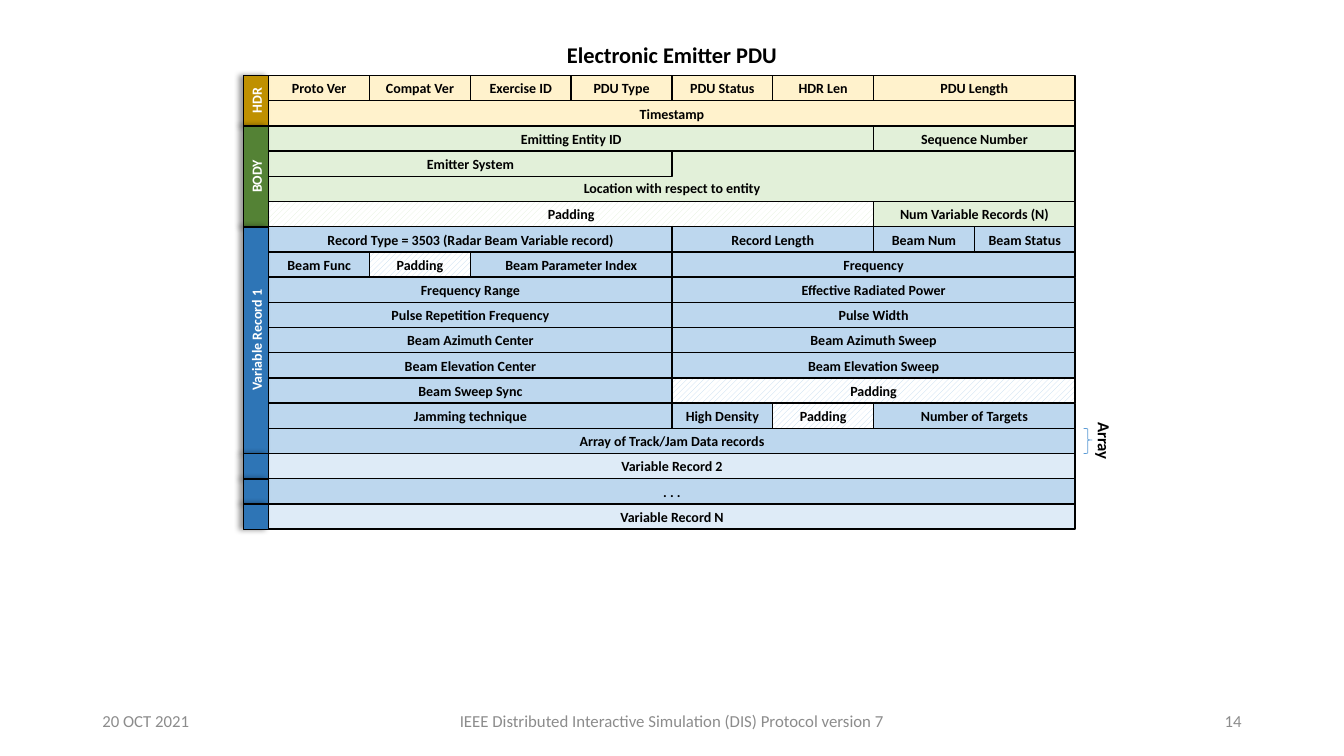
from dataclasses import dataclass

from lxml.etree import SubElement
from pptx import Presentation
from pptx.dml.color import RGBColor
from pptx.enum.dml import MSO_PATTERN
from pptx.enum.shapes import MSO_SHAPE
from pptx.enum.text import MSO_ANCHOR, MSO_AUTO_SIZE, PP_ALIGN
from pptx.oxml.ns import qn
from pptx.util import Pt


@dataclass(frozen=True)
class Theme:
    font: str = "Calibri"
    title_size: int = 16
    label_size: int = 12
    field_size: int = 10
    black: str = "000000"
    white: str = "FFFFFF"
    footer: str = "8C8C8C"
    brace: str = "5B9BD5"
    header: str = "FFF2CC"
    body: str = "E2F0D9"
    record: str = "BDD7EE"
    other_record: str = "DEEBF7"
    header_tab: str = "BF9000"
    body_tab: str = "548235"
    record_tab: str = "2E75B6"


@dataclass(frozen=True)
class Box:
    left: float
    top: float
    width: float
    height: float

    def lengths(self):
        return Pt(self.left), Pt(self.top), Pt(self.width), Pt(self.height)


THEME = Theme()
COLUMNS = 8
ROW_HEIGHT = 18

ROWS = [
    (THEME.header, [("Proto Ver", 1), ("Compat Ver", 1), ("Exercise ID", 1), ("PDU Type", 1),
                    ("PDU Status", 1), ("HDR Len", 1), ("PDU Length", 2)]),
    (THEME.header, [("Timestamp", 8)]),
    (THEME.body, [("Emitting Entity ID", 6), ("Sequence Number", 2)]),
    (THEME.body, [("Emitter System", 4)]),
    (THEME.body, []),
    (THEME.body, [("Padding", 6), ("Num Variable Records (N)", 2)]),
    (THEME.record, [("Record Type = 3503 (Radar Beam Variable record)", 4),
                    ("Record Length", 2), ("Beam Num", 1), ("Beam Status", 1)]),
    (THEME.record, [("Beam Func", 1), ("Padding", 1), ("Beam Parameter Index", 2), ("Frequency", 4)]),
    (THEME.record, [("Frequency Range", 4), ("Effective Radiated Power", 4)]),
    (THEME.record, [("Pulse Repetition Frequency", 4), ("Pulse Width", 4)]),
    (THEME.record, [("Beam Azimuth Center", 4), ("Beam Azimuth Sweep", 4)]),
    (THEME.record, [("Beam Elevation Center", 4), ("Beam Elevation Sweep", 4)]),
    (THEME.record, [("Beam Sweep Sync", 4), ("Padding", 4)]),
    (THEME.record, [("Jamming technique", 4), ("High Density", 1), ("Padding", 1),
                    ("Number of Targets", 2)]),
    (THEME.record, [("Array of Track/Jam Data records", 8)]),
    (THEME.other_record, [("Variable Record 2", 8)]),
    (THEME.record, [(". . .", 8)]),
    (THEME.other_record, [("Variable Record N", 8)]),
]
LOCATION_ROW = 3
ARRAY_ROW = 14

TABS = [
    ("HDR", 2, THEME.header_tab),
    ("BODY", 4, THEME.body_tab),
    ("Variable Record 1", 9, THEME.record_tab),
    ("", 1, THEME.record_tab),
    ("", 1, THEME.record_tab),
    ("", 1, THEME.record_tab),
]


def rgb(value):
    return RGBColor.from_string(value)


def write(shape, text, size, color, bold=True, align=PP_ALIGN.CENTER,
          anchor=MSO_ANCHOR.MIDDLE, side_inset=0, bottom_inset=0):
    frame = shape.text_frame
    frame.word_wrap = True
    frame.auto_size = MSO_AUTO_SIZE.NONE
    frame.vertical_anchor = anchor
    frame.margin_left = frame.margin_right = Pt(side_inset)
    frame.margin_top = 0
    frame.margin_bottom = Pt(bottom_inset)
    paragraph = frame.paragraphs[0]
    paragraph.alignment = align
    run = paragraph.add_run()
    run.text = text
    run.font.name = THEME.font
    run.font.size = Pt(size)
    run.font.bold = bold
    run.font.color.rgb = rgb(color)


def add_rectangle(slide, box, color, patterned=False):
    shape = slide.shapes.add_shape(MSO_SHAPE.RECTANGLE, *box.lengths())
    shape.shadow.inherit = False
    if patterned:
        shape.fill.patterned()
        shape.fill.pattern = MSO_PATTERN.WIDE_UPWARD_DIAGONAL
        shape.fill.fore_color.rgb = rgb(color)
        shape.fill.back_color.rgb = rgb(THEME.white)
    else:
        shape.fill.solid()
        shape.fill.fore_color.rgb = rgb(color)
    shape.line.color.rgb = rgb(THEME.black)
    shape.line.width = Pt(1)
    return shape


def add_left_shadow(shape):
    effects = shape._element.spPr.find(qn("a:effectLst"))
    shadow = SubElement(effects, qn("a:outerShdw"), blurRad=str(Pt(4)), dist=str(Pt(3)),
                        dir="10800000", algn="r", rotWithShape="0")
    color = SubElement(shadow, qn("a:srgbClr"), val=THEME.black)
    SubElement(color, qn("a:alpha"), val="40000")


def add_title(slide, box):
    title = slide.shapes.title
    title.left, title.top, title.width, title.height = box.lengths()
    write(title, "Electronic Emitter PDU", THEME.title_size, THEME.black)


def add_fields(slide, box):
    unit = box.width / COLUMNS
    location_box = Box(box.left, box.top + LOCATION_ROW * ROW_HEIGHT, box.width, 2 * ROW_HEIGHT)
    location = add_rectangle(slide, location_box, THEME.body)
    write(location, "Location with respect to entity", THEME.field_size, THEME.black,
          anchor=MSO_ANCHOR.BOTTOM, bottom_inset=3.6)
    for row, (color, fields) in enumerate(ROWS):
        column = 0
        for label, span in fields:
            field_box = Box(box.left + column * unit, box.top + row * ROW_HEIGHT,
                            span * unit, ROW_HEIGHT)
            field = add_rectangle(slide, field_box, color, patterned=label == "Padding")
            write(field, label, THEME.field_size, THEME.black)
            column += span


def add_tabs(slide, box):
    top = box.top
    for label, rows, color in TABS:
        length = rows * ROW_HEIGHT
        tab_box = Box(box.left + (box.width - length) / 2, top + (length - box.width) / 2,
                      length, box.width)
        tab = add_rectangle(slide, tab_box, color)
        tab.rotation = 270
        add_left_shadow(tab)
        if label:
            write(tab, label, THEME.field_size, THEME.white)
        top += length


def add_array_mark(slide, box):
    label = slide.shapes.add_textbox(*box.lengths())
    label.rotation = 90
    write(label, "Array", THEME.label_size, THEME.black)
    brace_box = Box(box.left + 6, box.top, 6, box.height)
    brace = slide.shapes.add_shape(MSO_SHAPE.RIGHT_BRACE, *brace_box.lengths())
    brace.shadow.inherit = False
    brace.adjustments[0] = 0.08
    brace.adjustments[1] = 0.46
    brace.fill.background()
    brace.line.color.rgb = rgb(THEME.brace)
    brace.line.width = Pt(0.5)


def add_footer(slide, box):
    side, middle = 216, 324
    parts = [
        ("20 OCT 2021", 0, side, PP_ALIGN.LEFT),
        ("IEEE Distributed Interactive Simulation (DIS) Protocol version 7",
         (box.width - middle) / 2, middle, PP_ALIGN.CENTER),
        ("14", box.width - side, side, PP_ALIGN.RIGHT),
    ]
    for text, offset, width, align in parts:
        part_box = Box(box.left + offset, box.top, width, box.height)
        part = slide.shapes.add_textbox(*part_box.lengths())
        write(part, text, THEME.label_size, THEME.footer, bold=False, align=align, side_inset=7.2)


def build_pdu_slide(presentation, page):
    slide = presentation.slides.add_slide(presentation.slide_layouts[5])
    grid = Box(page.left + 192, page.top + 54, 576, len(ROWS) * ROW_HEIGHT)
    add_title(slide, Box(grid.left + 144, grid.top - 24, 288, 18))
    add_fields(slide, grid)
    add_tabs(slide, Box(grid.left - 18, grid.top, 18, grid.height))
    add_array_mark(slide, Box(grid.left + grid.width, grid.top + ARRAY_ROW * ROW_HEIGHT, 42, ROW_HEIGHT))
    add_footer(slide, Box(page.left + 66, page.top + 500.5, page.width - 132, 28.75))


def main():
    presentation = Presentation()
    page = Box(0, 0, 960, 540)
    presentation.slide_width, presentation.slide_height = page.lengths()[2:]
    build_pdu_slide(presentation, page)
    presentation.save("out.pptx")


if __name__ == "__main__":
    main()
